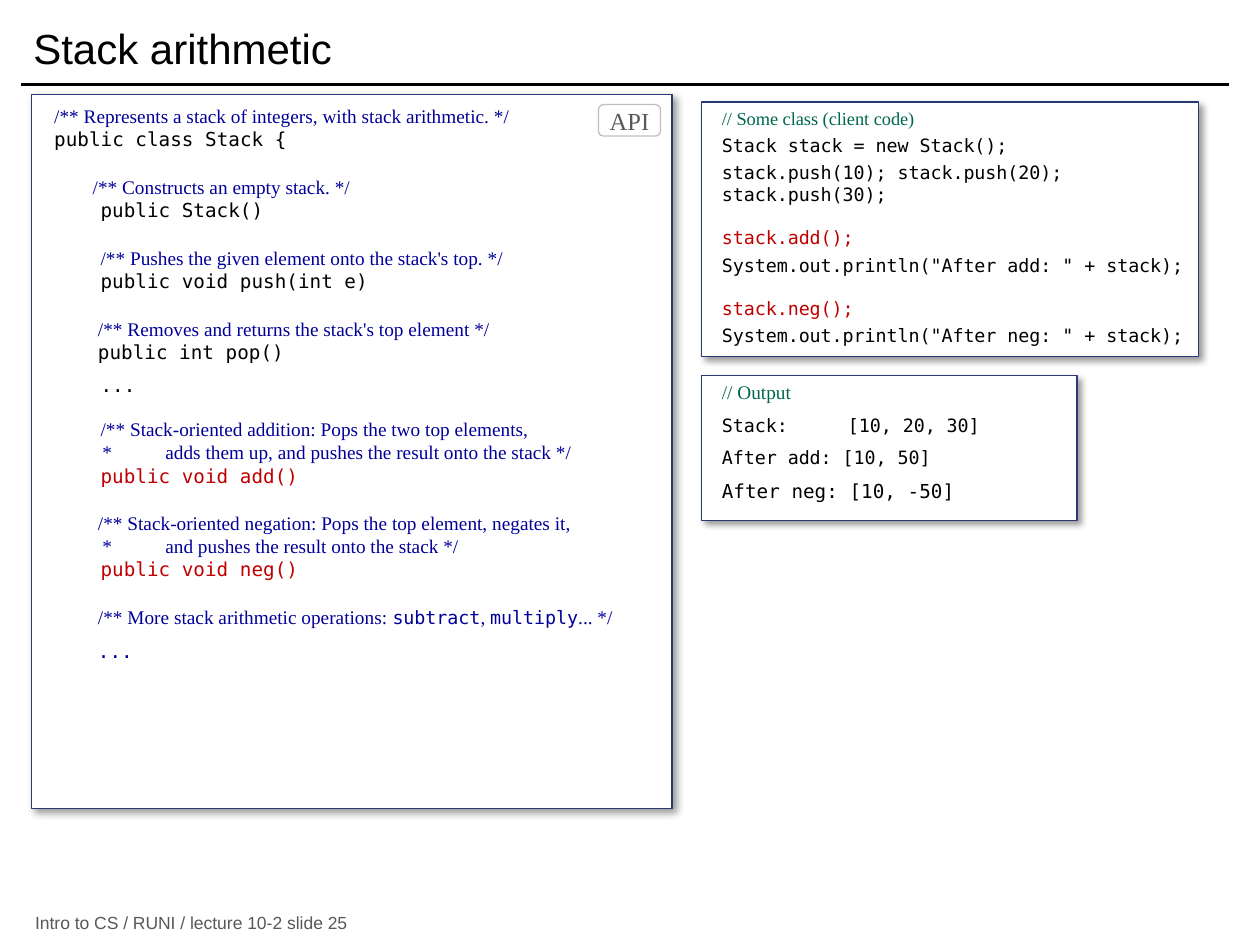
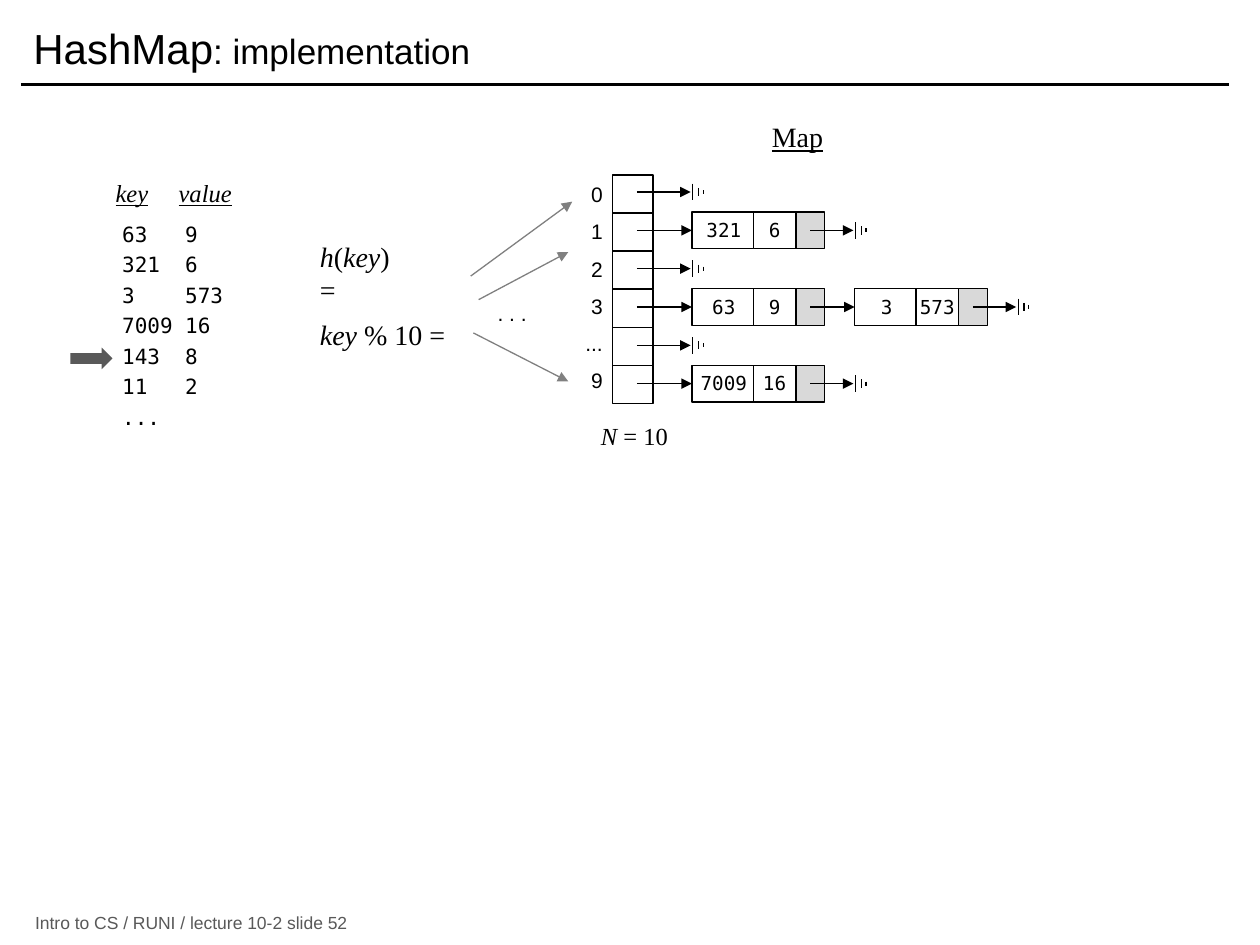
from dataclasses import dataclass

from lxml import etree
from pptx import Presentation
from pptx.dml.color import RGBColor
from pptx.enum import shapes, text
from pptx.oxml import ns
from pptx.util import Pt

BLACK = RGBColor(0, 0, 0)
WHITE = RGBColor(255, 255, 255)
NAVY = RGBColor(0x29, 0x39, 0x73)
BLUE = RGBColor(0, 0, 0x99)
RED = RGBColor(0xC0, 0, 0)
GREEN = RGBColor(0, 0x66, 0x4D)
DARK = RGBColor(0x59, 0x59, 0x59)
GREY = RGBColor(0x80, 0x80, 0x80)
SILVER = RGBColor(0xBF, 0xBF, 0xBF)
PALE = RGBColor(0xD9, 0xD9, 0xD9)

SANS, SERIF, MONO = "Arial", "Times New Roman", "DejaVu Sans Mono"
BOX, PILL, ARROW = (shapes.MSO_SHAPE.RECTANGLE, shapes.MSO_SHAPE.ROUNDED_RECTANGLE,
                    shapes.MSO_SHAPE.RIGHT_ARROW)
LEFT, MID, RIGHT = text.PP_ALIGN.LEFT, text.PP_ALIGN.CENTER, text.PP_ALIGN.RIGHT


@dataclass(frozen=True)
class Run:
    words: str
    size: float
    font: str
    color: RGBColor = BLACK
    slant: bool = False
    under: bool = False


@dataclass(frozen=True)
class Para:
    runs: tuple[Run, ...]
    before: float = 0
    left: float = 0
    tab: float = 0
    side: str = "l"
    align: int = LEFT
    space: float = 1


@dataclass(frozen=True)
class Area:
    x: float
    y: float
    w: float
    h: float


@dataclass(frozen=True)
class Slot:
    name: str
    nodes: tuple[tuple[str, str], ...] = ()


def line(words: str, size: float, font: str, color: RGBColor = BLACK, **kind) -> Para:
    """Make a paragraph of one run."""
    return Para((Run(words, size, font, color),), **kind)


def write(shape, paras, pad=(7.2, 3.6, 7.2, 3.6), middle=False) -> None:
    frame = shape.text_frame
    frame.word_wrap = True
    frame.vertical_anchor = text.MSO_ANCHOR.MIDDLE if middle else text.MSO_ANCHOR.TOP
    (frame.margin_left, frame.margin_top,
     frame.margin_right, frame.margin_bottom) = map(Pt, pad)
    for i, para in enumerate(paras):
        p = frame.add_paragraph() if i else frame.paragraphs[0]
        p.alignment = para.align
        p.line_spacing = para.space
        p.space_before = Pt(para.before)
        props = p._p.get_or_add_pPr()
        props.set("marL", str(Pt(para.left)))
        props.set("indent", "0")
        if para.tab:
            tabs = etree.SubElement(props, ns.qn("a:tabLst"))
            etree.SubElement(tabs, ns.qn("a:tab"), pos=str(Pt(para.tab)), algn=para.side)
        for run in para.runs:
            r = p.add_run()
            r.text = run.words
            r.font.size, r.font.name = Pt(run.size), run.font
            r.font.color.rgb = run.color
            r.font.italic, r.font.underline = run.slant, run.under


def note(slide, area: Area, paras, **kind) -> None:
    box = slide.shapes.add_textbox(Pt(area.x), Pt(area.y), Pt(area.w), Pt(area.h))
    write(box, paras, **kind)


def block(slide, area: Area, fill=None, edge=None, form=BOX):
    shape = slide.shapes.add_shape(form, Pt(area.x), Pt(area.y), Pt(area.w), Pt(area.h))
    shape.shadow.inherit = False
    if fill is None:
        shape.fill.background()
    else:
        shape.fill.solid()
        shape.fill.fore_color.rgb = fill
    if edge is None:
        shape.line.fill.background()
    else:
        shape.line.color.rgb = edge
        shape.line.width = Pt(0.75)
    return shape


def stroke(slide, start, end, color=BLACK, width=0.75, head=False):
    link = slide.shapes.add_connector(
        shapes.MSO_CONNECTOR.STRAIGHT, *map(Pt, (*start, *end)))
    link.line.color.rgb = color
    link.line.width = Pt(width)
    if head:
        etree.SubElement(link.line._get_or_add_ln(), ns.qn("a:tailEnd"), type="triangle")
    etree.SubElement(link._element.spPr, ns.qn("a:effectLst"))
    return link


def panel(slide, area: Area, paras, pad) -> None:
    """Draw a white code panel with a soft shadow."""
    shape = block(slide, area, WHITE, NAVY)
    effects = shape._element.spPr.find(ns.qn("a:effectLst"))
    shade = etree.SubElement(effects, ns.qn("a:outerShdw"), blurRad=str(Pt(4)),
                             dist=str(Pt(3)), dir="2700000", algn="tl", rotWithShape="0")
    tint = etree.SubElement(shade, ns.qn("a:srgbClr"), val="000000")
    etree.SubElement(tint, ns.qn("a:alpha"), val="40000")
    write(shape, paras, pad)


def start(deck, title: tuple[Run, ...], number: int):
    """Add a slide with its title, rule and footer."""
    slide = deck.slides.add_slide(deck.slide_layouts[6])
    stroke(slide, (12, 48.25), (702, 48.25), width=2)
    foot = line(f"Intro to CS / RUNI / lecture 10-2\tslide {number}", 10, SANS, DARK, tab=619)
    note(slide, Area(13, 520.5, 678, 13.75), [foot], pad=(7.2, 0, 7.2, 0), middle=True)
    note(slide, Area(12, 6, 690, 42), [Para(title)], middle=True)
    return slide


def doc(words: str, before: float = 0, left: float = 25, tab: float = 0) -> Para:
    return line(words, 11, SERIF, BLUE, before=before, left=left, tab=tab)


def code(words: str, color=BLACK, before: float = 0, left: float = 26.5) -> Para:
    return line(words, 11, MONO, color, before=before, left=left)


def call(words: str, color=BLACK, before: float = 3) -> Para:
    return line(words, 10.5, MONO, color, before=before)


def stack(deck) -> None:
    slide = start(deck, (Run("Stack arithmetic", 24, SANS),), 25)
    gap = 14
    more = Para((Run("/** More stack arithmetic operations: ", 11, SERIF, BLUE),
                 Run("subtract", 10.5, MONO, BLUE),
                 Run(", ", 11, SERIF, BLUE),
                 Run("multiply", 10.5, MONO, BLUE),
                 Run("... */", 11, SERIF, BLUE)), before=gap, left=25)
    panel(slide, Area(18, 54, 366, 408), [
        doc("/** Represents a stack of integers, with stack arithmetic. */", left=0),
        code("public class Stack {", left=0),
        doc("/** Constructs an empty stack. */", gap, 22),
        code("public Stack()"),
        doc("/** Pushes the given element onto the stack's top. */", gap, 26.5),
        code("public void push(int e)"),
        doc("/** Removes and returns the stack's top element */", gap),
        code("public int pop()", left=25),
        code("...", before=6),
        doc("/** Stack-oriented addition: Pops the two top elements,", 12, 26.5),
        doc("*\tadds them up, and pushes the result onto the stack */", left=27.5, tab=41.5),
        code("public void add()", RED),
        doc("/** Stack-oriented negation: Pops the top element, negates it,", gap),
        doc("*\tand pushes the result onto the stack */", left=27.5, tab=41.5),
        code("public void neg()", RED),
        more,
        code("...", BLUE, 6, 25),
    ], (13, 5.75, 0, 0))
    badge = block(slide, Area(342, 59.75, 35.5, 18), WHITE, SILVER, PILL)
    write(badge, [line("API", 14, SERIF, DARK, align=MID)], (0, 3.6, 0, 3.6), True)
    pad = (11.5, 2.9, 0, 0)
    panel(slide, Area(401, 58.25, 284, 145.5), [
        line("// Some class (client code)", 10.5, SERIF, GREEN),
        call("Stack stack = new Stack();"),
        call("stack.push(10); stack.push(20); stack.push(30);"),
        call("stack.add();", RED, 12),
        call('System.out.println("After add: " + stack);'),
        call("stack.neg();", RED, 12),
        call('System.out.println("After neg: " + stack);'),
    ], pad)
    panel(slide, Area(401, 214.5, 214.5, 83), [
        line("// Output", 11, SERIF, GREEN),
        line("Stack:\t[10, 20, 30]", 10.5, MONO, before=6, tab=69.5),
        call("After add: [10, 50]", before=6),
        code("After neg: [10, -50]", before=6, left=0),
    ], pad)


NODE, STEP = 395.4, 93


def ground(slide, x: float, y: float) -> None:
    """Draw the null sign: three shrinking bars."""
    for dx, high in ((0, 9.5), (3.3, 4.75), (6, 2.3)):
        stroke(slide, (x + dx, y - high / 2), (x + dx, y + high / 2))


def node(slide, x: float, y: float, key: str, value: str):
    """Draw a key, value and link cell; return the key cell."""
    def cell(dx: float, w: float, fill=None, words: str = ""):
        shape = block(slide, Area(x + dx, y - 10.5, w, 21), fill, BLACK)
        if words:
            write(shape, [line(words, 11, MONO, align=MID)], (0, 3.6, 0, 3.6))
        return shape

    first = cell(0, 36.5, words=key)
    cell(59, 16.75, PALE)
    cell(35, 24.5, WHITE, value)
    return first


def chain(slide, slot: Slot, y: float) -> None:
    """Draw the linked list that hangs from a slot."""
    tail = 364
    for i, (key, value) in enumerate(slot.nodes):
        x = NODE + STEP * i
        first = node(slide, x, y, key, value)
        stroke(slide, (tail, y), (x, y), head=True).end_connect(first, 1)
        tail = x + 67.5
    end = NODE + STEP * len(slot.nodes)
    stroke(slide, (tail, y), (end - 0.75, y), head=True)
    ground(slide, end + 0.5, y)


def table(deck) -> None:
    slide = start(deck, (Run("HashMap", 24, SANS), Run(": implementation", 20, SANS)), 52)
    slots = (Slot("0"), Slot("1", (("321", "6"),)), Slot("2"),
             Slot("3", (("63", "9"), ("3", "573"))), Slot("..."),
             Slot("9", (("7009", "16"),)))
    snug = (0, 3.6, 5.75, 3.6)
    for i, slot in enumerate(slots):
        block(slide, Area(350, 100 + 21.75 * i, 23.25, 21.75), edge=BLACK)
        note(slide, Area(314.25, 100.25 + 21.3 * i, 36, 21.5),
             [line(slot.name, 12, SANS, align=RIGHT)], pad=snug)
        chain(slide, slot, 109.75 + 21.9 * i)

    note(slide, Area(434, 68.5, 62, 24),
         [Para((Run("Map", 16, SERIF, under=True),), space=0.8)])
    note(slide, Area(336.25, 237, 118, 24.5),
         [Para((Run("N", 14, SERIF, slant=True), Run(" = 10", 14, SERIF)))])

    note(slide, Area(59, 101.5, 228, 24), [Para((
        Run("key", 14, SERIF, slant=True, under=True), Run("\t", 14, SERIF),
        Run("value", 14, SERIF, slant=True, under=True)), tab=40, space=0.8)])
    pairs = (("63", "9"), ("321", "6"), ("3", "573"), ("7009", "16"), ("143", "8"), ("11", "2"))
    rows = [f"{key}\t{value}" for key, value in pairs] + ["..."]
    note(slide, Area(62.75, 123, 189, 176), [
        line(row, 12, MONO, before=3 if i else 0, tab=65, side="r")
        for i, row in enumerate(rows)])
    block(slide, Area(40.25, 198.75, 24, 12.25), DARK, form=ARROW)

    note(slide, Area(175.75, 133.25, 90, 52), [
        Para((Run("h", 16, SERIF, slant=True), Run("(", 16, SERIF),
              Run("key", 16, SERIF, slant=True), Run(")\t=", 16, SERIF)), tab=48),
        Para((Run("key", 16, SERIF, slant=True), Run(" % 10 =", 16, SERIF)), before=6)])
    note(slide, Area(270.75, 168.5, 36, 21.5),
         [line(". . .", 12, SANS, align=RIGHT)], pad=snug)
    for tail, tip in (((269, 157.75), (327, 115.25)), ((273.5, 171.25), (324.75, 144)),
                      ((270.5, 190.25), (324.75, 218))):
        stroke(slide, tail, tip, GREY, head=True)


def main() -> None:
    deck = Presentation()
    deck.slide_width, deck.slide_height = Pt(720), Pt(540)
    stack(deck)
    table(deck)
    deck.save("out.pptx")


if __name__ == "__main__":
    main()
